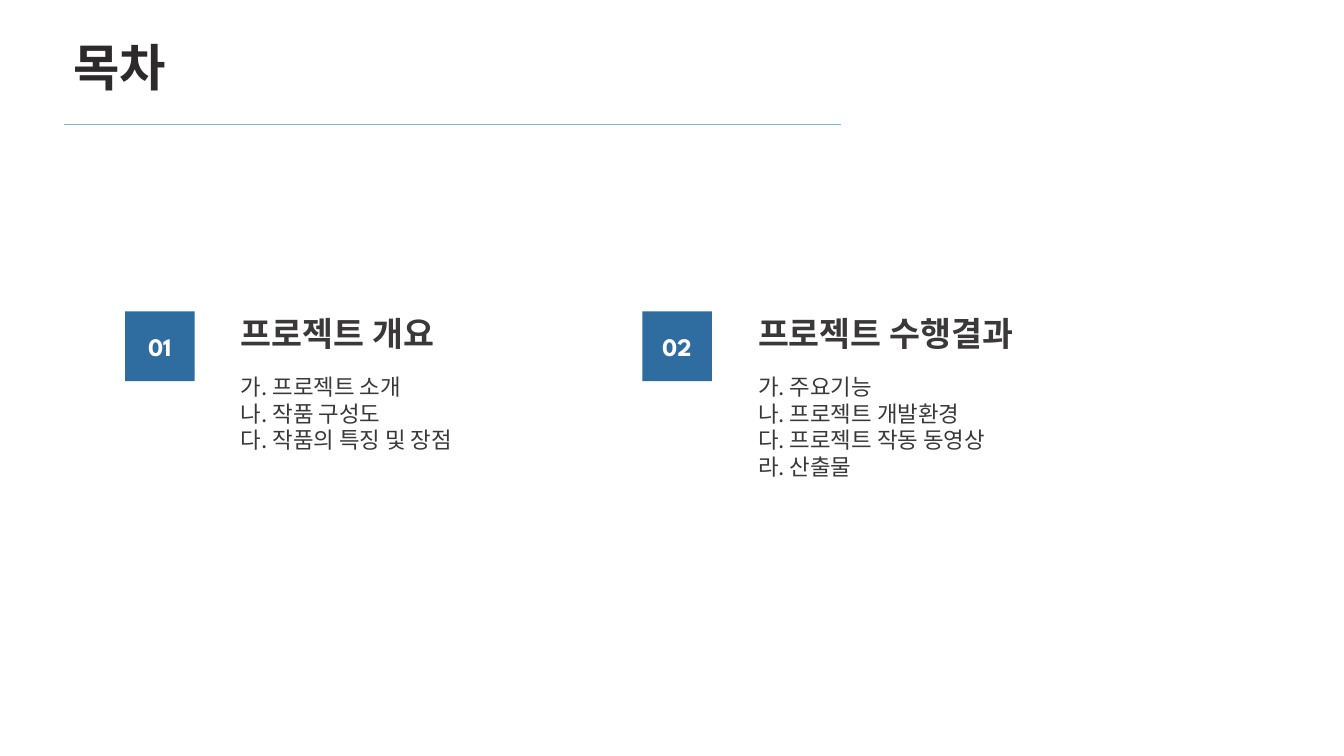
from dataclasses import dataclass

from lxml.etree import SubElement
from pptx import Presentation
from pptx.dml.color import RGBColor
from pptx.enum.shapes import MSO_CONNECTOR, MSO_SHAPE
from pptx.enum.text import MSO_ANCHOR, PP_ALIGN
from pptx.oxml.ns import qn
from pptx.slide import Slide
from pptx.text.text import TextFrame
from pptx.util import Inches, Pt

KOREAN, NUMERAL = "Noto Sans CJK KR", "League Spartan"
TITLE_INK, INK, BLUE, TEAL, WHITE = "2C2A2A", "3A3838", "2F6DA0", "7CBAC9", "FFFFFF"
TOP, BADGE_SIZE, FIRST_LEFT, COLUMN_PITCH = 3.09, 0.69, 1.24, 5.13


@dataclass(frozen=True)
class Section:
    heading: str
    topics: tuple[str, ...]


SECTIONS = (
    Section("프로젝트 개요", ("프로젝트 소개", "작품 구성도", "작품의 특징 및 장점")),
    Section("프로젝트 수행결과",
            ("주요기능", "프로젝트 개발환경", "프로젝트 작동 동영상", "산출물")),
)


def rgb(value: str) -> RGBColor:
    """Turn a hex string into a colour."""
    return RGBColor.from_string(value)


def write(frame: TextFrame, text: str, *, size: float, color: str = INK,
          font: str = KOREAN, bold: bool = False, before: float = 0,
          align: PP_ALIGN = PP_ALIGN.LEFT) -> None:
    """Write text as the next paragraph of a frame."""
    paragraph = frame.add_paragraph() if frame.text else frame.paragraphs[0]
    paragraph.alignment = align
    paragraph.line_spacing = 1.0
    paragraph.space_before = Pt(before)
    run = paragraph.add_run()
    run.text = text
    run.font.size, run.font.bold, run.font.name = Pt(size), bold, font
    run.font.color.rgb = rgb(color)
    SubElement(run.font._element, qn("a:ea")).set("typeface", font)


def draw_title(slide: Slide, text: str) -> None:
    """Place the slide title and the rule below it."""
    title = slide.shapes.title
    title.left, title.top = Inches(0.63), Inches(0.31)
    title.width, title.height = Inches(7.71), Inches(0.71)
    title.text_frame.vertical_anchor = MSO_ANCHOR.TOP
    write(title.text_frame, text, size=36, color=TITLE_INK, bold=True)
    rule = slide.shapes.add_connector(
        MSO_CONNECTOR.STRAIGHT, Inches(0.63), Inches(1.23), Inches(8.34), Inches(1.23))
    rule.line.color.rgb, rule.line.width = rgb(TEAL), Pt(0.5)
    SubElement(rule._element.spPr, qn("a:effectLst"))


def draw_section(slide: Slide, index: int, section: Section) -> None:
    """Draw a numbered badge with its heading and lettered topics."""
    left = FIRST_LEFT + index * COLUMN_PITCH
    badge = slide.shapes.add_shape(
        MSO_SHAPE.RECTANGLE, Inches(left), Inches(TOP), Inches(BADGE_SIZE), Inches(BADGE_SIZE))
    badge.shadow.inherit = False
    badge.fill.solid()
    badge.fill.fore_color.rgb = rgb(BLUE)
    badge.line.fill.background()
    badge.text_frame.vertical_anchor = MSO_ANCHOR.MIDDLE
    write(badge.text_frame, f"{index + 1:02}", size=18, color=WHITE, font=NUMERAL,
          bold=True, align=PP_ALIGN.CENTER)

    height = 0.7 + 0.27 * len(section.topics)
    outline = slide.shapes.add_textbox(
        Inches(left + 1.05), Inches(TOP - 0.04), Inches(3.71), Inches(height)).text_frame
    outline.word_wrap = True
    write(outline, section.heading, size=24, bold=True)
    for position, (letter, topic) in enumerate(zip("가나다라", section.topics)):
        write(outline, f"{letter}. {topic}", size=16, before=0 if position else 14.4)


def main() -> None:
    """Build the contents slide."""
    deck = Presentation()
    deck.slide_width, deck.slide_height = Inches(13.33), Inches(7.5)
    slide = deck.slides.add_slide(deck.slide_layouts[5])
    draw_title(slide, "목차")
    for index, section in enumerate(SECTIONS):
        draw_section(slide, index, section)
    deck.save("out.pptx")


main()
